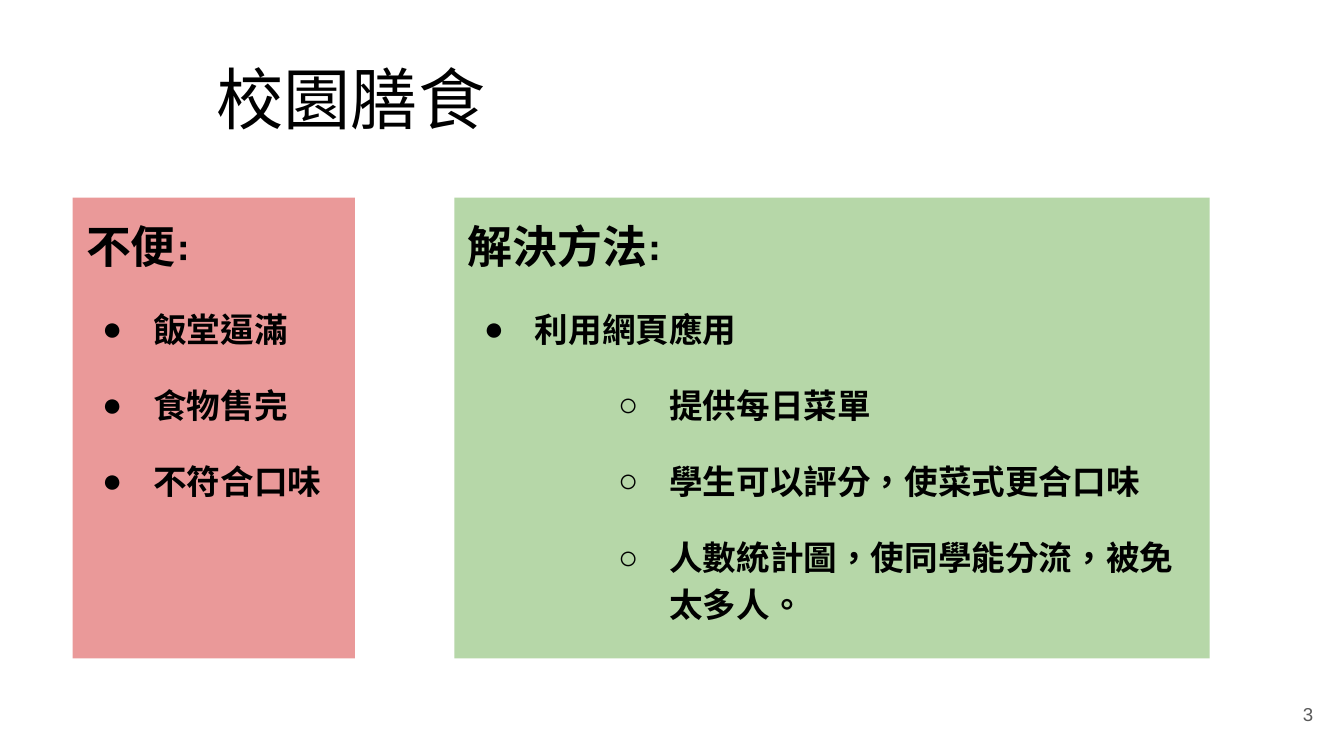
from dataclasses import dataclass

from lxml.etree import SubElement
from pptx import Presentation
from pptx.dml.color import RGBColor
from pptx.enum.lang import MSO_LANGUAGE_ID as Language
from pptx.enum.text import MSO_ANCHOR as Anchor, MSO_AUTO_SIZE as AutoSize, PP_ALIGN as Align
from pptx.oxml.ns import qn
from pptx.util import Inches, Pt

BLACK = "000000"
BULLETS = ("●", "○")
INDENTS = (0.5, 1.5)
HANGING = 0.38
PANEL_TOP, PANEL_HEIGHT = 1.47, 3.43


@dataclass(frozen=True)
class Item:
    text: str
    level: int = 0


@dataclass(frozen=True)
class Panel:
    left: float
    width: float
    fill: str
    heading: str
    items: tuple[Item, ...]


PANELS = (
    Panel(0.54, 2.1, "EA9999", "不便:",
          (Item("飯堂逼滿"), Item("食物售完"), Item("不符合口味"))),
    Panel(3.38, 5.62, "B6D7A8", "解決方法:",
          (Item("利用網頁應用"), Item("提供每日菜單", 1),
           Item("學生可以評分，使菜式更合口味", 1),
           Item("人數統計圖，使同學能分流，被免太多人。", 1))),
)


def color(value: str) -> RGBColor:
    return RGBColor.from_string(value)


def place(shape, left: float, top: float, width: float, height: float) -> None:
    shape.left, shape.top = Inches(left), Inches(top)
    shape.width, shape.height = Inches(width), Inches(height)


def prepare_frame(shape, anchor: Anchor = Anchor.TOP):
    """Set wrapping, anchor and even insets; return the text frame."""
    frame = shape.text_frame
    frame.word_wrap = True
    frame.auto_size = AutoSize.NONE
    frame.vertical_anchor = anchor
    frame.margin_left = frame.margin_right = Inches(0.1)
    frame.margin_top = frame.margin_bottom = Inches(0.1)
    return frame


def write(paragraph, text: str, font_name: str, size: int,
          fill: str = BLACK, bold: bool = False) -> None:
    paragraph.text = text
    font = paragraph.font
    font.name, font.size, font.bold = font_name, Pt(size), bold
    font.color.rgb = color(fill)
    for run in paragraph.runs:
        run.font.language_id = Language.TRADITIONAL_CHINESE


def set_bullet(paragraph, character: str | None, indent: float, hanging: float) -> None:
    properties = paragraph._p.get_or_add_pPr()
    properties.set("marL", str(Inches(indent)))
    properties.set("indent", str(-Inches(hanging)))
    if character is None:
        SubElement(properties, qn("a:buNone"))
        return
    bullet_color = SubElement(properties, qn("a:buClr"))
    SubElement(bullet_color, qn("a:srgbClr"), val=BLACK)
    SubElement(properties, qn("a:buChar"), char=character)


def fill_panel(shape, panel: Panel) -> None:
    place(shape, panel.left, PANEL_TOP, panel.width, PANEL_HEIGHT)
    shape.fill.solid()
    shape.fill.fore_color.rgb = color(panel.fill)
    frame = prepare_frame(shape)

    heading = frame.paragraphs[0]
    heading.line_spacing = 1.15
    heading.space_before = Pt(0)
    set_bullet(heading, None, 0, 0)
    write(heading, panel.heading, "Manrope", 24, bold=True)

    for item in panel.items:
        paragraph = frame.add_paragraph()
        paragraph.level = item.level
        paragraph.line_spacing = 1.15
        paragraph.space_before = Pt(16)
        set_bullet(paragraph, BULLETS[item.level], INDENTS[item.level], HANGING)
        write(paragraph, item.text, "Manrope", 18, bold=True)


def add_slide_number(slide, number: str) -> None:
    box = slide.shapes.add_textbox(Inches(9.27), Inches(5.1), Inches(0.6), Inches(0.43))
    paragraph = prepare_frame(box, Anchor.MIDDLE).paragraphs[0]
    paragraph.alignment = Align.RIGHT
    write(paragraph, number, "Arial", 10, "595959")


def main() -> None:
    presentation = Presentation()
    presentation.slide_width = Inches(10)
    presentation.slide_height = presentation.slide_width * 9 // 16
    two_content_layout = presentation.slide_layouts[3]
    slide = presentation.slides.add_slide(two_content_layout)

    title, *bodies = slide.placeholders
    place(title, 1.34, 0.33, 2.54, 0.84)
    paragraph = prepare_frame(title).paragraphs[0]
    paragraph.alignment = Align.CENTER
    write(paragraph, "校園膳食", "Arial", 36)

    for body, panel in zip(bodies, PANELS):
        fill_panel(body, panel)
    add_slide_number(slide, "3")
    presentation.save("out.pptx")


if __name__ == "__main__":
    main()
